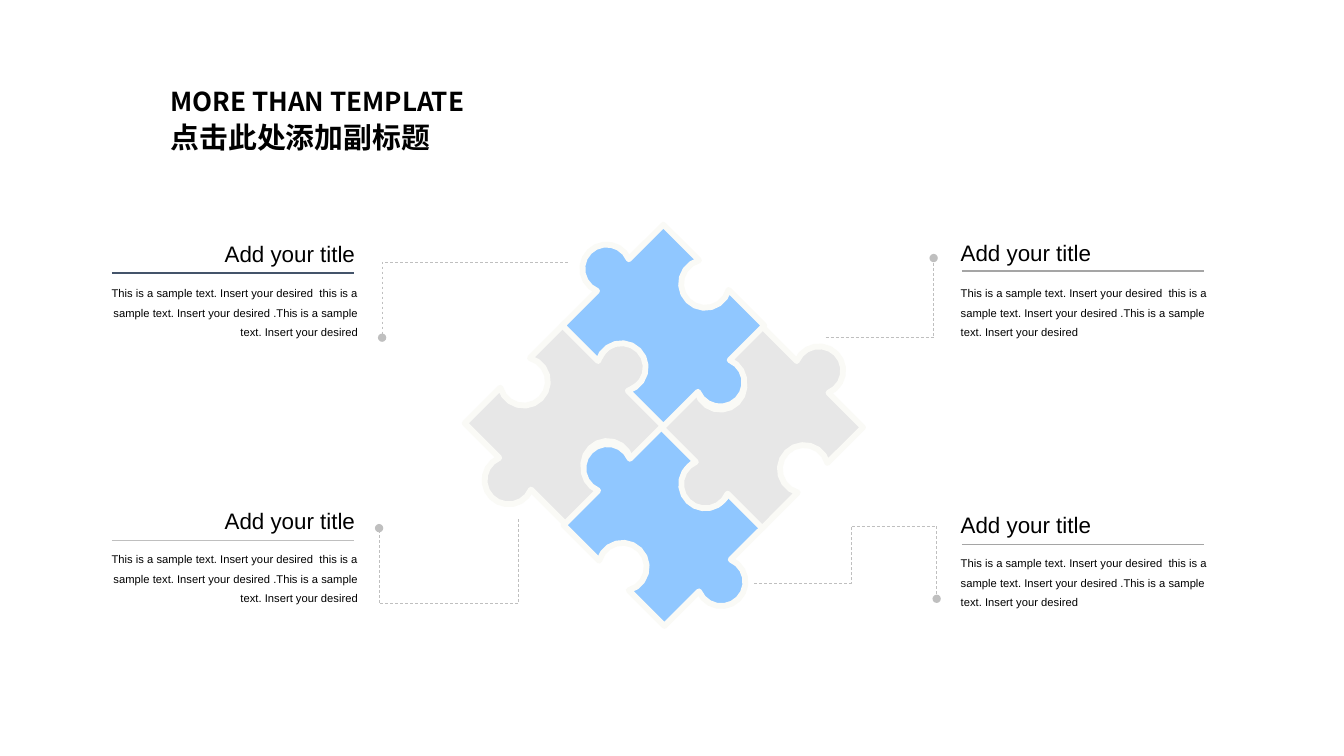
from math import cos, sin, acos, degrees, radians, sqrt
from lxml import etree
from pptx import Presentation
from pptx.dml.color import RGBColor
from pptx.enum import dml, text
from pptx.oxml import ns
from pptx.util import Inches, Pt

HUES = {"blue": "90C7FF", "pale": "E7E7E7", "edge": "FAFAF6", "dash": "BFBFBF",
        "navy": "44546A", "gray": "A5A5A5", "ink": "000000"}
SAMPLE = ("This is a sample text. Insert your desired  this is a sample text. "
          "Insert your desired .This is a sample text. Insert your desired")


def outline(dots, closed):
    spots = [(Inches(x), Inches(y)) for x, y in dots]
    path = slide.shapes.build_freeform(*spots[0])
    path.add_line_segments(spots[1:], close=closed)
    shape = path.convert_to_shape()
    shape.shadow.inherit = False
    return shape


def style(par, size, font):
    for run in par.runs:
        run.font.size = Pt(size)
        run.font.name = font
        run.font.color.rgb = RGBColor.from_string(HUES["ink"])


deck = Presentation()
deck.slide_width, deck.slide_height = Inches(13.33), Inches(7.5)
slide = deck.slides.add_slide(deck.slide_layouts[5])

title = slide.shapes.title
title.left, title.top, title.width, title.height = map(Inches, (1.59, 0.76, 3.3, 0.83))
frame = title.text_frame
frame.text = "MORE THAN TEMPLATE\n点击此处添加副标题"
frame.auto_size = text.MSO_AUTO_SIZE.NONE
frame.vertical_anchor = text.MSO_ANCHOR.MIDDLE
for par, size in zip(frame.paragraphs, (18.6, 20.6)):
    par.alignment = text.PP_ALIGN.LEFT
    par.line_spacing = 1.1
    style(par, size, "Noto Sans CJK SC")
    for run in par.runs:
        run.font.bold = True
        east = etree.SubElement(run.font._element, ns.qn("a:ea"))
        east.set("typeface", "Noto Sans CJK SC")

HALF, RADIUS, KNOB, HOLE, STEPS = 1.0, 0.24, 0.09, 0.12, 12
pieces = [(5.61, 4.2, "pale", 0), (6.59, 5.21, "blue", 1),
          (7.56, 4.24, "pale", 0), (6.58, 3.23, "blue", 1)]
for mid_x, mid_y, hue, shift in pieces:
    dots = []
    for side in range(4):
        corner = radians(90 * side - 90)
        dots.append((mid_x + HALF * cos(corner), mid_y + HALF * sin(corner)))
        facing = 90 * side - 45
        if (side + shift) % 2 == 0:
            depth = KNOB
            start = degrees(acos(KNOB / RADIUS)) - 180
            end = -start
        else:
            depth = -HOLE
            start = -degrees(acos(HOLE / RADIUS))
            end = -360 - start
        reach = HALF / sqrt(2) + depth
        hub_x = mid_x + reach * cos(radians(facing))
        hub_y = mid_y + reach * sin(radians(facing))
        for step in range(STEPS + 1):
            turn = radians(facing + start + (end - start) * step / STEPS)
            dots.append((hub_x + RADIUS * cos(turn), hub_y + RADIUS * sin(turn)))
    piece = outline(dots, True)
    piece.fill.solid()
    piece.fill.fore_color.rgb = RGBColor.from_string(HUES[hue])
    piece.line.color.rgb = RGBColor.from_string(HUES["edge"])
    piece.line.width = Pt(4.13)

leads = [
    [(5.63, 2.6), (3.79, 2.6), (3.79, 3.35)],
    [(5.14, 5.15), (5.14, 5.99), (3.76, 5.99), (3.76, 5.24)],
    [(8.19, 3.35), (9.26, 3.35), (9.26, 2.56)],
    [(7.48, 5.79), (8.44, 5.79), (8.44, 5.22), (9.29, 5.22), (9.29, 5.94)],
]
for dots in leads:
    lead = outline(dots, False)
    lead.fill.background()
    lead.line.color.rgb = RGBColor.from_string(HUES["dash"])
    lead.line.width = Pt(0.5)
    lead.line.dash_style = dml.MSO_LINE.DASH
    tail = etree.SubElement(lead.line._get_or_add_ln(), ns.qn("a:tailEnd"))
    tail.set("type", "oval")

LEFT, RIGHT = text.PP_ALIGN.LEFT, text.PP_ALIGN.RIGHT
notes = [
    (2.13, 2.33, 1.11, 2.71, "navy", 1, 2.73, RIGHT),
    (2.13, 4.98, 1.11, 5.36, "dash", 1, 5.37, RIGHT),
    (9.43, 2.32, 9.54, 2.69, "gray", 9.43, 2.73, LEFT),
    (9.43, 5.02, 9.54, 5.4, "gray", 9.43, 5.41, LEFT),
]
for head_x, head_y, rule_x, rule_y, hue, body_x, body_y, align in notes:
    head = slide.shapes.add_textbox(Inches(head_x), Inches(head_y), Inches(1.51), Inches(0.37))
    head.text_frame.text = "Add your title"
    head.text_frame.word_wrap = False
    head.text_frame.auto_size = text.MSO_AUTO_SIZE.SHAPE_TO_FIT_TEXT
    style(head.text_frame.paragraphs[0], 16, "Arial")

    rule = slide.shapes.add_connector(1, Inches(rule_x), Inches(rule_y),
                                      Inches(rule_x + 2.4), Inches(rule_y))
    rule.line.color.rgb = RGBColor.from_string(HUES[hue])
    rule.line.width = Pt(1)
    etree.SubElement(rule._element.spPr, ns.qn("a:effectLst"))

    body = slide.shapes.add_textbox(Inches(body_x), Inches(body_y), Inches(2.65), Inches(0.69))
    body.text_frame.text = SAMPLE
    body.text_frame.word_wrap = True
    body.text_frame.auto_size = text.MSO_AUTO_SIZE.SHAPE_TO_FIT_TEXT
    par = body.text_frame.paragraphs[0]
    par.alignment = align
    par.line_spacing = Pt(14)
    style(par, 8, "Arial")

deck.save("out.pptx")
